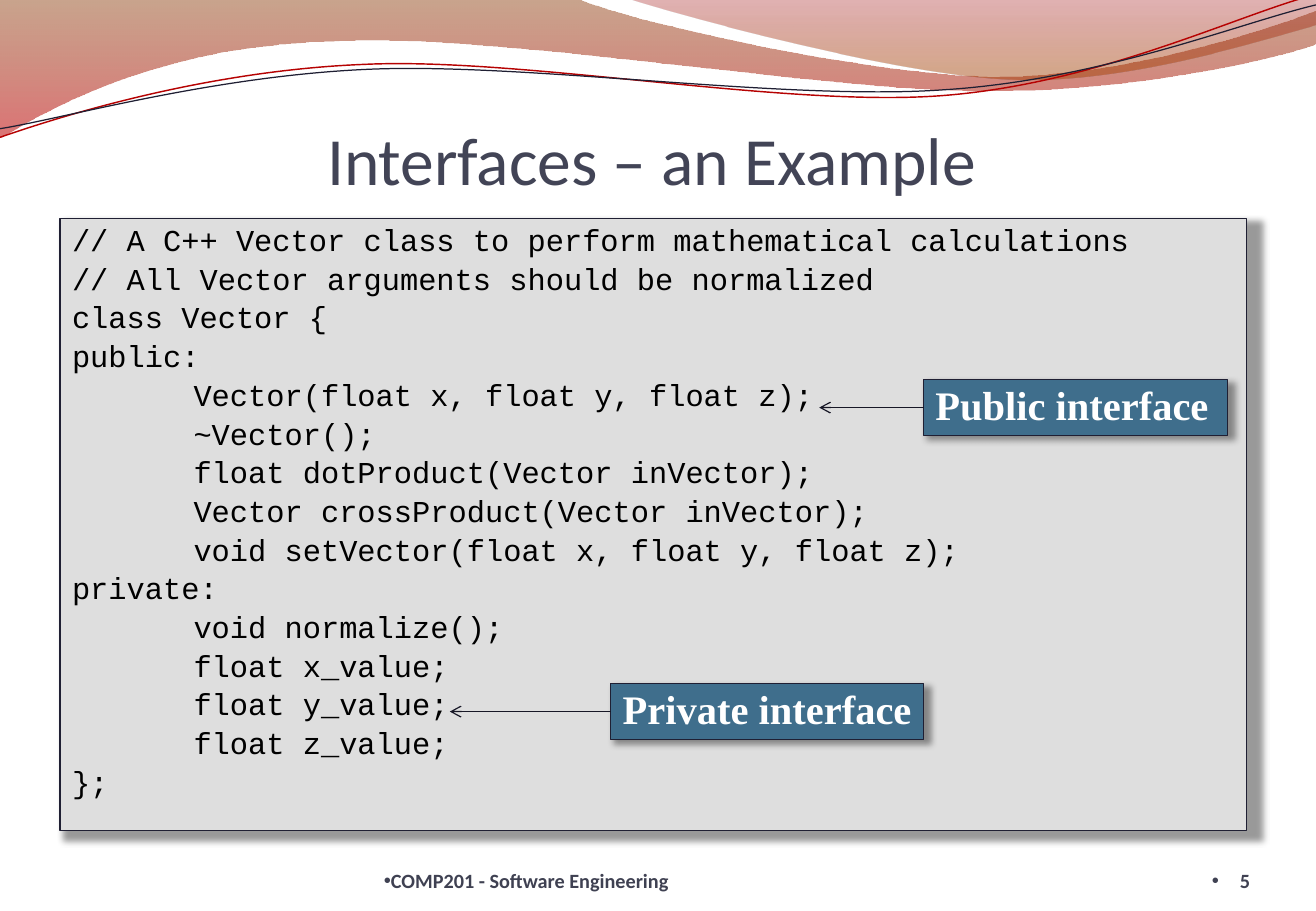
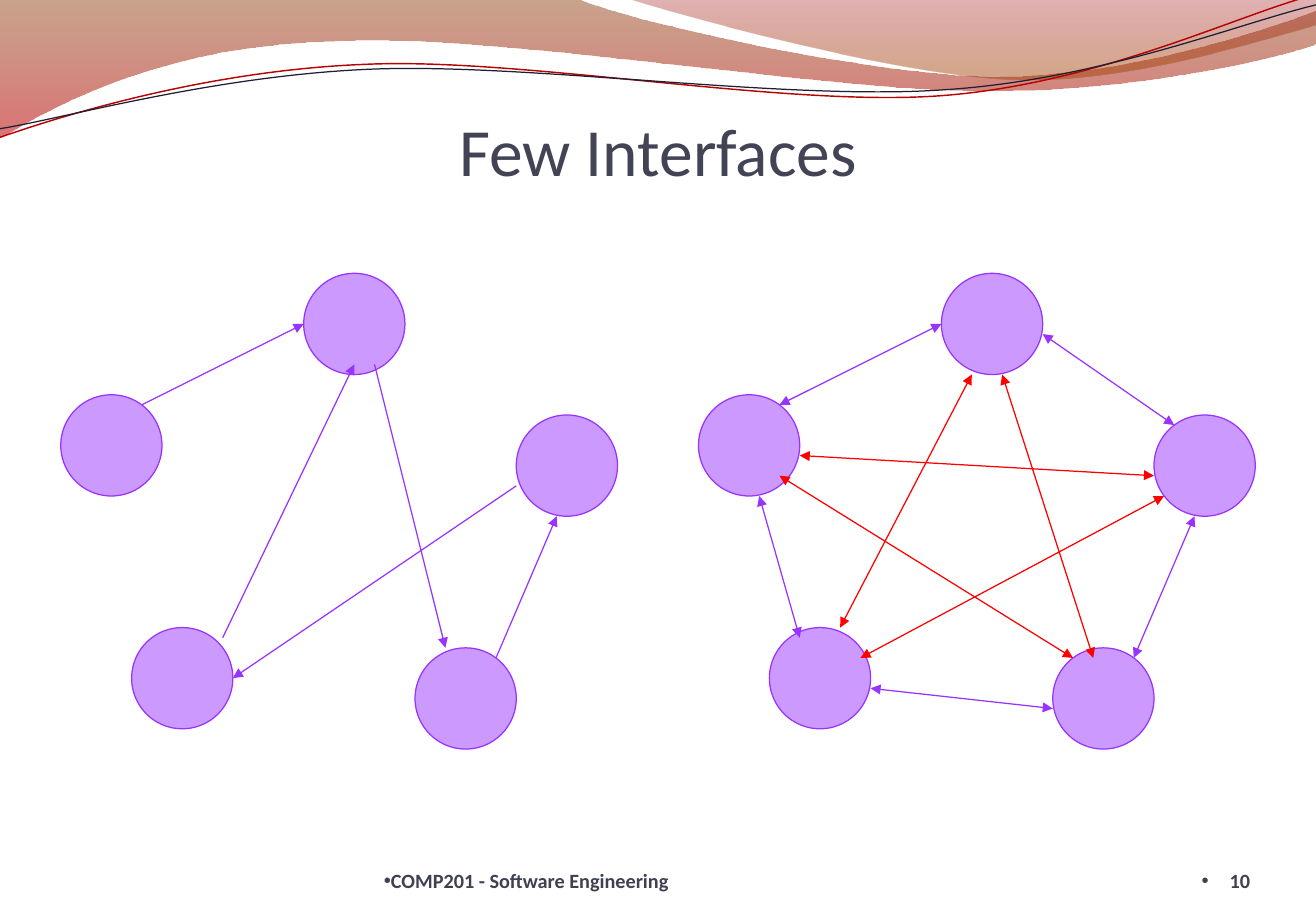
from collections import namedtuple
from dataclasses import dataclass

from lxml.etree import SubElement
from pptx import Presentation
from pptx.dml.color import RGBColor
from pptx.enum.shapes import MSO_CONNECTOR, MSO_SHAPE
from pptx.enum.text import MSO_ANCHOR, MSO_AUTO_SIZE, PP_ALIGN
from pptx.oxml.ns import qn
from pptx.util import Pt

Box = namedtuple("Box", "left top width height")


@dataclass(frozen=True)
class Theme:
    heading_font: str = "Calibri"
    code_font: str = "Courier New"
    label_font: str = "Times New Roman"
    title_size: float = 40
    label_size: float = 24
    code_size: float = 18
    footer_size: float = 12
    hairline: float = 0.75
    title: str = "424456"
    footer: str = "3F4152"
    code: str = "000000"
    panel: str = "DEDEDE"
    label: str = "3F6E8C"
    label_text: str = "FFFFFF"
    outline: str = "1F1F33"
    pointer: str = "171726"
    node: str = "CC99FF"
    edge: str = "9933FF"
    extra_edge: str = "FF0000"
    wave_line: str = "B60202"


THEME = Theme()
SLIDE = Box(0, 0, 780, 540)
FOOTER = Box(227.5, 500.4, 286, 28.8)
PAGE_NUMBER = Box(676, 500.4, 65, 28.8)
CODE_PANEL = Box(35.6, 129.6, 703.2, 362.9)
SPARSE_GRAPH = Box(36, 162, 330, 282)
FULL_GRAPH = SPARSE_GRAPH._replace(left=414)

# Each wave is a start point and steps: one point is a line, three are a curve.
BROAD_WAVE = [
    (0, 0), [(343.4, 0)],
    [(370.8, 12.2), (517.7, 45.4), (591.8, 45.4)],
    [(665.3, 45.4), (747.4, 18.7), (780, 6.5)], [(780, 26)],
    [(766.8, 31.7), (678.2, 54.7), (581.8, 54)],
    [(485.3, 54), (298, 20.2), (200.9, 24.5)],
    [(100.8, 26), (36, 59.8), (0, 81.4)],
]
CORNER_WAVE = [
    (373.7, 0),
    [(397.4, 7.9), (532, 44.6), (599.8, 46.8)],
    [(667.4, 49.7), (750.2, 23), (780, 15.1)], [(780, 0)],
]
RED_WAVE = [
    (0, 81.4),
    [(37.4, 68.4), (123.1, 41.8), (216, 38.2)],
    [(308.2, 33.8), (462.2, 63.4), (555.8, 56.9)],
    [(649.4, 50.4), (732.2, 9.4), (778.3, -2.9)],
]
DARK_WAVE = [
    (0, 76.3),
    [(36.7, 70.6), (127.4, 44.6), (221, 41)],
    [(313.9, 37.4), (465.8, 59.8), (558.7, 53.3)],
    [(652.3, 47.5), (734.4, 13.7), (780, 2.9)],
]

VECTOR_CLASS = """// A C++ Vector class to perform mathematical calculations
// All Vector arguments should be normalized
class Vector {
public:
\tVector(float x, float y, float z);
\t~Vector();
\tfloat dotProduct(Vector inVector);
\tVector crossProduct(Vector inVector);
\tvoid setVector(float x, float y, float z);
private:
\tvoid normalize();
\tfloat x_value;
\tfloat y_value;
\tfloat z_value;
};"""

NODE_SIZE = 60
NODES = [(0, 72), (42, 210), (144, 0), (270, 84), (210, 222)]
SPARSE_EDGES = [
    ((270, 126), (102, 240)), ((96, 216), (174, 54)), ((258, 228), (294, 144)),
    ((48, 78), (144, 30)), ((186, 54), (228, 222)),
]
RING_EDGES = [
    ((36, 132), (60, 216)), ((102, 246), (210, 258)), ((258, 228), (294, 144)),
    ((48, 78), (144, 30)), ((204, 36), (282, 90)),
]
STAR_EDGES = [
    ((60, 108), (270, 120)), ((48, 120), (222, 228)), ((162, 60), (84, 210)),
    ((180, 60), (234, 228)), ((96, 228), (276, 132)),
]


def points(values):
    return [Pt(value) for value in values]


def rgb(color):
    return RGBColor.from_string(color)


def set_line(line, color, width=THEME.hairline):
    line.color.rgb = rgb(color)
    line.width = Pt(width)


def write_text(shape, text, *, font, size, color, bold=False, align=PP_ALIGN.LEFT,
               anchor=MSO_ANCHOR.BOTTOM, insets=(0, 0, 0, 0), wrap=True,
               line_spacing=None, space_before=0, bullet_indent=None, tab=None):
    """Fill a shape with one paragraph a line; insets run left, top, right, bottom."""
    frame = shape.text_frame
    frame.text = text
    frame.word_wrap = wrap
    frame.auto_size = MSO_AUTO_SIZE.NONE
    frame.vertical_anchor = anchor
    (frame.margin_left, frame.margin_top,
     frame.margin_right, frame.margin_bottom) = points(insets)
    for index, paragraph in enumerate(frame.paragraphs):
        paragraph.alignment = align
        paragraph.line_spacing = line_spacing
        paragraph.space_before = Pt(space_before if index else 0)
        properties = paragraph._p.get_or_add_pPr()
        if bullet_indent is not None:
            properties.set("marL", str(Pt(bullet_indent)))
            properties.set("indent", str(-Pt(bullet_indent)))
            SubElement(properties, qn("a:buFont"), typeface="Arial")
            SubElement(properties, qn("a:buChar"), char="•")
        if tab is not None:
            stops = SubElement(properties, qn("a:tabLst"))
            SubElement(stops, qn("a:tab"), pos=str(Pt(tab)), algn="l")
        for run in paragraph.runs:
            run.font.name = font
            run.font.size = Pt(size)
            run.font.bold = bold
            run.font.color.rgb = rgb(color)


def add_figure(slide, kind, box, fill, line):
    figure = slide.shapes.add_shape(kind, *points(box))
    figure.shadow.inherit = False
    figure.fill.solid()
    figure.fill.fore_color.rgb = rgb(fill)
    set_line(figure.line, line)
    return figure


def add_shadowed_box(slide, box, fill):
    figure = add_figure(slide, MSO_SHAPE.RECTANGLE, box, fill, THEME.outline)
    effects = figure.element.spPr.find(qn("a:effectLst"))
    shadow = SubElement(effects, qn("a:outerShdw"), blurRad=str(Pt(4)), dist=str(Pt(3)),
                        dir="2700000", sx="101000", sy="101000", algn="tl",
                        rotWithShape="0")
    black = SubElement(shadow, qn("a:srgbClr"), val="000000")
    SubElement(black, qn("a:alpha"), val="40000")
    return figure


def add_arrow(slide, start, end, color, *, tip="triangle", both_ends=False):
    arrow = slide.shapes.add_connector(
        MSO_CONNECTOR.STRAIGHT, *points(start), *points(end))
    set_line(arrow.line, color)
    properties = arrow.element.spPr
    line = properties.find(qn("a:ln"))
    if both_ends:
        SubElement(line, qn("a:headEnd"), type=tip)
    SubElement(line, qn("a:tailEnd"), type=tip)
    SubElement(properties, qn("a:effectLst"))


def add_wave(slide, wave, *, closed):
    """Draw a wave through its points, then turn each three-point step into a curve."""
    start, *segments = wave
    builder = slide.shapes.build_freeform(*points(start))
    builder.add_line_segments(
        [points(point) for segment in segments for point in segment], close=closed)
    shape = builder.convert_to_shape()
    shape.shadow.inherit = False
    outline = next(shape.element.iter(qn("a:path")))
    corners = iter(outline.findall(qn("a:lnTo")))
    for segment in segments:
        straights = [next(corners) for _ in segment]
        if len(straights) == 3:
            curve = SubElement(outline, qn("a:cubicBezTo"))
            straights[0].addprevious(curve)
            for straight in straights:
                curve.append(straight[0])
                outline.remove(straight)
    return shape


def add_wave_band(slide, wave, stops):
    """Fill a wave from top to bottom; each stop is position, colour, opacity."""
    band = add_wave(slide, wave, closed=True)
    band.line.fill.background()
    band.fill.gradient()
    band.fill.gradient_angle = 270
    for stop, (position, color, opacity) in zip(band.fill.gradient_stops, stops):
        stop.position = position
        stop.color.rgb = rgb(color)
        SubElement(stop.element[0], qn("a:alpha"), val=str(opacity * 1000))
    return band


def add_wave_line(slide, wave, color, width):
    curve = add_wave(slide, wave, closed=False)
    curve.fill.background()
    set_line(curve.line, color, width)
    return curve


def decorate_layout(layout, slide):
    """Build the waves on a slide and hand them over to its layout."""
    waves = [
        add_wave_band(slide, BROAD_WAVE, [(0, "883400", 45), (1, "BD0000", 55)]),
        add_wave_band(slide, CORNER_WAVE, [(0, "9A0000", 30), (0.8, "A23E00", 45)]),
        add_wave_line(slide, RED_WAVE, THEME.wave_line, 0.85),
        add_wave_line(slide, DARK_WAVE, THEME.outline, THEME.hairline),
    ]
    for wave in waves:
        layout.shapes.element.append(wave.element)


def add_footer(slide, box, text, **text_format):
    write_text(slide.shapes.add_textbox(*points(box)), text, font=THEME.heading_font,
               size=THEME.footer_size, color=THEME.footer, bold=True, **text_format)


def start_slide(deck, layout, title, title_box, number):
    slide = deck.slides.add_slide(layout)
    heading = slide.shapes.title
    heading.left, heading.top, heading.width, heading.height = points(title_box)
    write_text(heading, title, font=THEME.heading_font, size=THEME.title_size,
               color=THEME.title, align=PP_ALIGN.CENTER, insets=(0, 3.6, 0, 0))
    add_footer(slide, FOOTER, "COMP201 - Software Engineering", bullet_indent=0)
    add_footer(slide, PAGE_NUMBER, number, align=PP_ALIGN.RIGHT, bullet_indent=16.6)
    return slide


def add_code_panel(slide, box, code):
    write_text(add_shadowed_box(slide, box, THEME.panel), code, font=THEME.code_font,
               size=THEME.code_size, color=THEME.code, anchor=MSO_ANCHOR.TOP,
               insets=(7.2, 4, 7.2, 3.6), line_spacing=0.9, space_before=3.5, tab=72)


def add_callout(slide, panel, text, place, tip_left):
    """Place a label inside the panel with an arrow that points left to the code."""
    box = place._replace(left=panel.left + place.left, top=panel.top + place.top)
    write_text(add_shadowed_box(slide, box, THEME.label), text, font=THEME.label_font,
               size=THEME.label_size, color=THEME.label_text, bold=True,
               anchor=MSO_ANCHOR.MIDDLE, insets=(7.2, 3.6, 7.2, 3.6), wrap=False,
               line_spacing=0.9)
    middle = box.top + box.height / 2
    add_arrow(slide, (box.left, middle), (panel.left + tip_left, middle),
              THEME.pointer, tip="arrow")


def add_graph(slide, box, edge_sets, *, both_ends):
    """Draw the five nodes, then each set of edges in its colour."""
    for x, y in NODES:
        add_figure(slide, MSO_SHAPE.OVAL,
                   Box(box.left + x, box.top + y, NODE_SIZE, NODE_SIZE),
                   THEME.node, THEME.edge)
    for color, edges in edge_sets:
        for edge in edges:
            start, end = [(box.left + x, box.top + y) for x, y in edge]
            add_arrow(slide, start, end, color, both_ends=both_ends)


def main():
    deck = Presentation()
    deck.slide_width, deck.slide_height = points(SLIDE[2:])
    layout = deck.slide_layouts[5]

    example = start_slide(deck, layout, "Interfaces – an Example",
                          Box(35.3, 50.4, 702, 67.7), "5")
    decorate_layout(layout, example)
    add_code_panel(example, CODE_PANEL, VECTOR_CLASS)
    add_callout(example, CODE_PANEL, "Private interface",
                Box(326.4, 275.6, 185.6, 33.2), 231)
    add_callout(example, CODE_PANEL, "Public interface",
                Box(511.8, 95.4, 180, 33.2), 450)

    few = start_slide(deck, layout, "Few Interfaces", Box(39, 45, 702, 67.7), "10")
    add_graph(few, FULL_GRAPH, [(THEME.edge, RING_EDGES), (THEME.extra_edge, STAR_EDGES)],
              both_ends=True)
    add_graph(few, SPARSE_GRAPH, [(THEME.edge, SPARSE_EDGES)], both_ends=False)

    deck.save("out.pptx")


if __name__ == "__main__":
    main()
